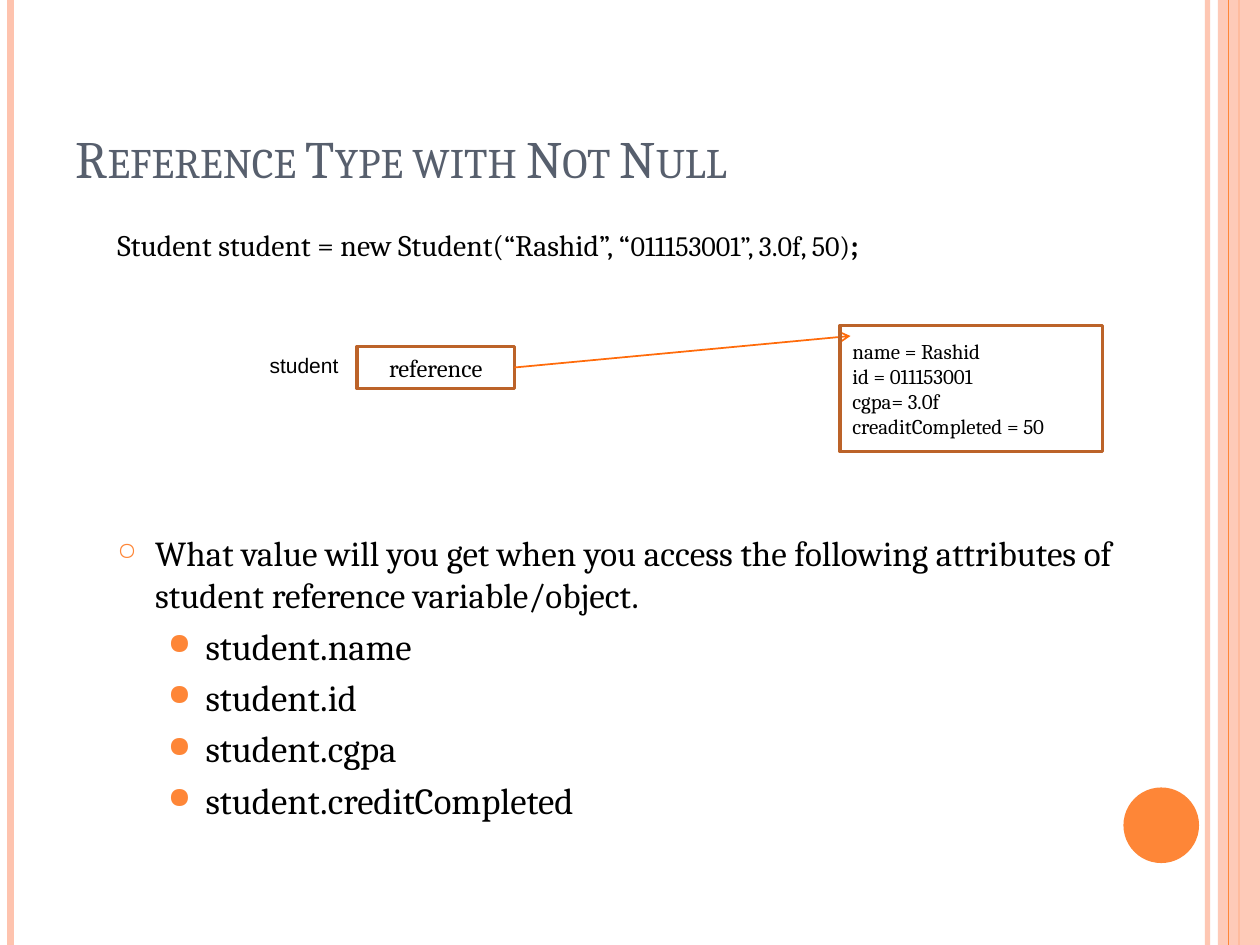
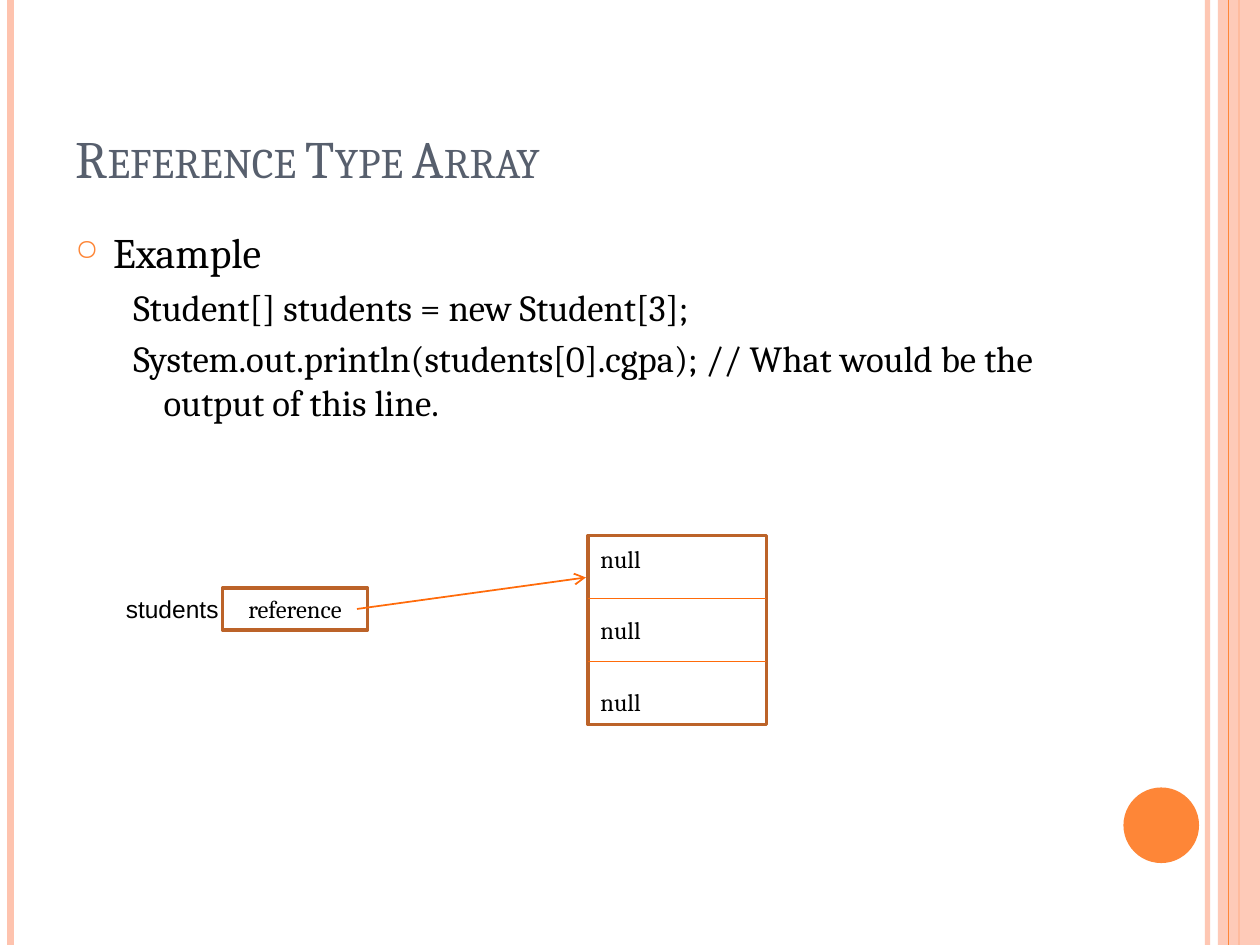
from dataclasses import dataclass
from typing import Optional

import pptx
import pptx.dml.color
import pptx.enum.shapes
import pptx.enum.text
import pptx.oxml.ns
import pptx.util
from lxml import etree

# Grid: 120 columns by 90 rows, each cell 1/12 inch
COLS, ROWS = 120, 90
CELL = pptx.util.Inches(1) / 12

# Shared look
SERIF, SANS = "Cambria", "Arial"
BLACK, SLATE = "000000", "575F6D"
ORANGE, PINK, BROWN, ARROW = "FE8637", "FEC3AE", "BC6329", "FF6B0A"

RECT = pptx.enum.shapes.MSO_SHAPE.RECTANGLE
OVAL = pptx.enum.shapes.MSO_SHAPE.OVAL
LEFT, CENTER = pptx.enum.text.PP_ALIGN.LEFT, pptx.enum.text.PP_ALIGN.CENTER
TOP = pptx.enum.text.MSO_ANCHOR.TOP
MIDDLE = pptx.enum.text.MSO_ANCHOR.MIDDLE
BOTTOM = pptx.enum.text.MSO_ANCHOR.BOTTOM


@dataclass(frozen=True)
class Area:
    col: float
    row: float
    cols: float
    rows: float

    def emu(self) -> list[int]:
        return [grid(n) for n in (self.col, self.row, self.cols, self.rows)]


@dataclass(frozen=True)
class Run:
    text: str
    size: float
    font: str = SERIF
    color: str = BLACK
    bold: bool = False
    small_caps: bool = False


@dataclass(frozen=True)
class Para:
    runs: tuple[Run, ...]
    before: float = 0
    after: float = 0
    margin: float = 0
    indent: float = 0
    bullet: str = ""
    bullet_pct: int = 100
    align: pptx.enum.text.PP_ALIGN = LEFT


@dataclass(frozen=True)
class Stripe:
    col: float
    color: str
    width: float
    opacity: Optional[int] = None


STRIPES = (Stripe(115, PINK, 3, 93), Stripe(1, PINK, 4.5), Stripe(118, ORANGE, 1.5))
EDGE_LINE = Stripe(117, ORANGE, 0.75)
EDGE_BAND = Area(116, 0, 4, ROWS)
DOT = Area(107, 75, 7.2, 7.2)
TITLE = Area(6, 3.6, 98, 15)


def grid(n: float) -> int:
    return round(n * CELL)


def rgb(color: str) -> pptx.dml.color.RGBColor:
    return pptx.dml.color.RGBColor.from_string(color)


def add_child(parent, tag: str, **attrs: str):
    return etree.SubElement(parent, pptx.oxml.ns.qn(tag), attrs)


def set_opacity(sp, percent: Optional[int]) -> None:
    if percent is not None:
        clr = next(sp._element.spPr.iter(pptx.oxml.ns.qn("a:srgbClr")))
        add_child(clr, "a:alpha", val=str(percent * 1000))


# Text
def write(tf, paras: list[Para], anchor=TOP) -> None:
    tf.word_wrap = True
    tf.vertical_anchor = anchor
    for i, para in enumerate(paras):
        p = tf.paragraphs[0] if i == 0 else tf.add_paragraph()
        p.alignment = para.align
        p.space_before = pptx.util.Pt(para.before)
        p.space_after = pptx.util.Pt(para.after)
        pPr = p._p.get_or_add_pPr()
        pPr.set("marL", str(pptx.util.Inches(para.margin)))
        pPr.set("indent", str(pptx.util.Inches(para.indent)))
        if para.bullet:
            add_child(add_child(pPr, "a:buClr"), "a:srgbClr", val=ORANGE)
            add_child(pPr, "a:buSzPct", val=str(para.bullet_pct * 1000))
            add_child(pPr, "a:buChar", char=para.bullet)
        for run in para.runs:
            r = p.add_run()
            r.text = run.text
            r.font.name = run.font
            r.font.size = pptx.util.Pt(run.size)
            r.font.bold = run.bold
            r.font.color.rgb = rgb(run.color)
            if run.small_caps:
                r._r.get_or_add_rPr().set("cap", "small")


def add_text(slide, area: Area, paras: list[Para], anchor=TOP) -> None:
    write(slide.shapes.add_textbox(*area.emu()).text_frame, paras, anchor)


def plain(text: str, size: float, font: str = SERIF, **layout) -> Para:
    return Para((Run(text, size, font),), **layout)


def question(text: str, size: float, before: float = 0) -> Para:
    return plain(text, size, before=before, margin=0.3, indent=-0.3,
                 bullet="○", bullet_pct=70)


# Shapes and lines
def add_filled(slide, kind, area: Area, color: str, opacity: Optional[int] = None) -> None:
    sp = slide.shapes.add_shape(kind, *area.emu())
    sp.shadow.inherit = False
    sp.fill.solid()
    sp.fill.fore_color.rgb = rgb(color)
    sp.line.fill.background()
    set_opacity(sp, opacity)


def add_box(slide, area: Area, paras: list[Para]) -> None:
    sp = slide.shapes.add_shape(RECT, *area.emu())
    sp.shadow.inherit = False
    sp.fill.background()
    sp.line.color.rgb = rgb(BROWN)
    sp.line.width = pptx.util.Pt(2)
    write(sp.text_frame, paras, MIDDLE)


def add_line(slide, start: tuple[float, float], end: tuple[float, float],
             color: str = ARROW, width: float = 1, arrow: bool = False,
             opacity: Optional[int] = None) -> None:
    ends = [grid(n) for n in (*start, *end)]
    line = slide.shapes.add_connector(pptx.enum.shapes.MSO_CONNECTOR.STRAIGHT, *ends)
    line.line.color.rgb = rgb(color)
    line.line.width = pptx.util.Pt(width)
    set_opacity(line, opacity)
    if arrow:
        add_child(line.line._get_or_add_ln(), "a:tailEnd", type="arrow")
    add_child(line._element.spPr, "a:effectLst")


def add_stripe(slide, s: Stripe) -> None:
    add_line(slide, (s.col, 0), (s.col, ROWS), s.color, s.width, opacity=s.opacity)


def add_reference(slide, label: Area, name: str, size: float, box: Area) -> None:
    add_box(slide, box, [plain("reference", 14, align=CENTER)])
    add_text(slide, label, [plain(name, size, SANS)])


def new_slide(prs, title: str):
    slide = prs.slides.add_slide(prs.slide_layouts[6])
    for stripe in STRIPES:
        add_stripe(slide, stripe)
    add_filled(slide, RECT, EDGE_BAND, PINK, 87)
    add_stripe(slide, EDGE_LINE)
    add_filled(slide, OVAL, DOT, ORANGE)
    heading = Run(title, 30, color=SLATE, small_caps=True)
    add_text(slide, TITLE, [Para((heading,))], BOTTOM)
    return slide


# Slide 1: a variable that refers to one object
def build_not_null(prs) -> None:
    slide = new_slide(prs, "Reference Type with Not Null")
    code = Para((Run("Student student = new Student(“Rashid”, “", 17),
                 Run("011153001”, 3.0f, 50)", 16),
                 Run(";", 17, bold=True)))
    ask = question("What value will you get when you access the following "
                   "attributes of student reference variable/object.", 20, before=154)
    attributes = [plain(f"student.{name}", 21, before=4.2, margin=0.7, indent=-0.3,
                        bullet="●", bullet_pct=80)
                  for name in ("name", "id", "cgpa", "creditCompleted")]
    add_text(slide, Area(10, 21, 98, 63), [code, ask, *attributes])

    add_reference(slide, Area(24.5, 33, 11.5, 3.6), "student", 12, Area(34, 33, 15, 4))
    add_line(slide, (49, 35), (81, 32), arrow=True)
    fields = ("name = Rashid", "id = 011153001", "cgpa= 3.0f", "creaditCompleted = 50")
    add_box(slide, Area(80, 31, 25, 12), [plain(field, 12) for field in fields])


# Slide 2: a variable that refers to an array of nulls
def build_array(prs) -> None:
    slide = new_slide(prs, "Reference Type Array")
    code = [plain(line, 21, before=4.2, margin=0.7, indent=-0.24) for line in (
        "Student[] students = new Student[3];",
        "System.out.println(students[0].cgpa); // What would be the output of this line.")]
    add_text(slide, Area(6, 21, 98, 33), [question("Example", 24), *code])

    add_reference(slide, Area(10.8, 56, 14.3, 4.1), "students", 14, Area(21.2, 56, 13.8, 4))
    add_line(slide, (34, 58), (55.8, 55), arrow=True)
    count = 3
    array = Area(56, 51, 17, 18)
    add_box(slide, array, [plain("null", 14, before=12, after=12)] * count)
    for i in range(1, count):
        row = array.row + i * array.rows / count
        add_line(slide, (array.col, row), (array.col + array.cols, row))


def main() -> None:
    prs = pptx.Presentation()
    prs.slide_width, prs.slide_height = grid(COLS), grid(ROWS)
    build_not_null(prs)
    build_array(prs)
    prs.save("out.pptx")


if __name__ == "__main__":
    main()
